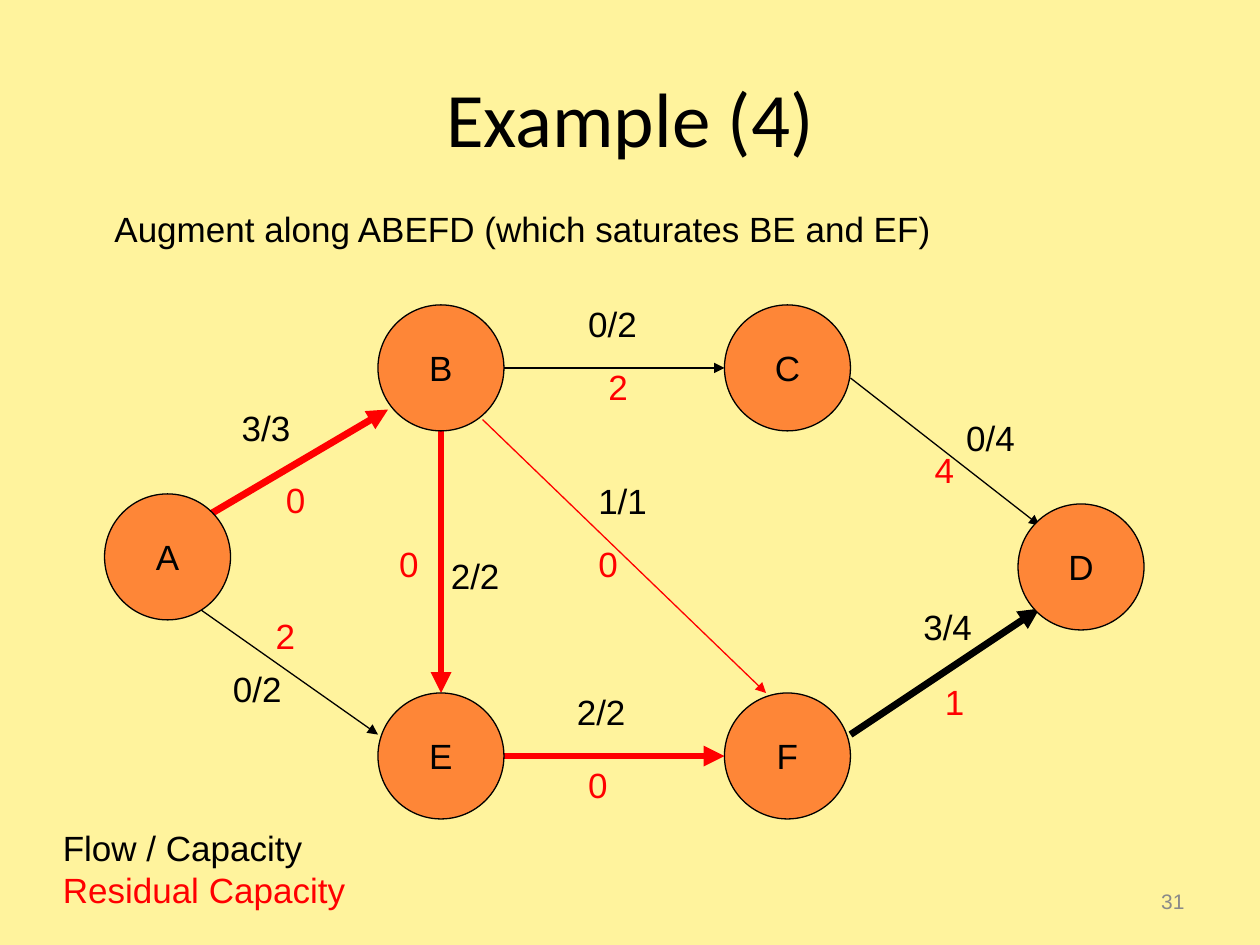
from pptx import Presentation
from pptx.dml.color import RGBColor
from pptx.enum.shapes import MSO_CONNECTOR, MSO_SHAPE
from pptx.enum.text import MSO_ANCHOR, MSO_AUTO_SIZE, PP_ALIGN
from pptx.oxml.ns import qn
from pptx.util import Inches, Pt
from lxml.etree import SubElement

BACKGROUND = RGBColor(0xFF, 0xF3, 0x9D)
ORANGE = RGBColor(0xFE, 0x86, 0x37)
BLACK = RGBColor(0, 0, 0)
RED = RGBColor(0xFF, 0, 0)
GRAY = RGBColor(0x89, 0x89, 0x89)

THIN, THICK = 0.75, 4
NODE_SIZE = 1
LABEL_HEIGHT = 0.44
FLOW_WIDTH, RESIDUAL_WIDTH = 0.6, 0.36

# Left and top of each node
NODES = {
    "A": (0.83, 3.92),
    "B": (3, 2.42),
    "C": (5.75, 2.42),
    "D": (8.08, 4),
    "F": (5.75, 5.5),
    "E": (3, 5.5),
}

# Start, end, colour, weight, flow/capacity and its place, residual and its place
EDGES = [
    ((1.67, 4.08), (3.08, 3.25), RED, THICK, "3/3", (1.82, 3.18), "0", (2.17, 3.75)),
    ((4, 2.92), (5.75, 2.92), BLACK, THIN, "0/2", (4.57, 2.35), "2", (4.73, 2.85)),
    ((6.75, 3), (8.25, 4.17), BLACK, THIN, "0/4", (7.57, 3.26), "4", (7.32, 3.51)),
    ((1.58, 4.83), (3, 5.83), BLACK, THIN, "0/2", (1.75, 5.25), "2", (2.09, 4.83)),
    ((4, 6), (5.75, 6), RED, THICK, "2/2", (4.48, 5.43), "0", (4.57, 6.01)),
    ((6.75, 5.83), (8.25, 4.83), BLACK, THICK, "3/4", (7.23, 4.76), "1", (7.4, 5.35)),
    ((3.83, 3.33), (6.08, 5.5), RED, THIN, "1/1", (4.65, 3.76), "0", (4.65, 4.26)),
    ((3.5, 3.42), (3.5, 5.5), RED, THICK, "2/2", (3.48, 4.35), "0", (3.07, 4.26)),
]


def format_paragraph(paragraph, color, size=20, font="Arial", align=PP_ALIGN.LEFT):
    paragraph.alignment = align
    for run in paragraph.runs:
        run.font.name = font
        run.font.size = Pt(size)
        run.font.color.rgb = color


def add_label(slide, box, lines):
    """Add an unwrapped text box; lines holds (text, colour) pairs."""
    frame = slide.shapes.add_textbox(*map(Inches, box)).text_frame
    frame.text = "\n".join(text for text, _ in lines)
    frame.word_wrap = False
    frame.auto_size = MSO_AUTO_SIZE.SHAPE_TO_FIT_TEXT
    for paragraph, (_, color) in zip(frame.paragraphs, lines):
        format_paragraph(paragraph, color)


def add_framed_text(slide, box, text, color, size, font, align):
    """Add a wrapped, vertically centred text box of fixed size."""
    frame = slide.shapes.add_textbox(*map(Inches, box)).text_frame
    frame.text = text
    frame.word_wrap = True
    frame.vertical_anchor = MSO_ANCHOR.MIDDLE
    format_paragraph(frame.paragraphs[0], color, size, font, align)


def add_arrow(slide, start, end, color, weight):
    arrow = slide.shapes.add_connector(
        MSO_CONNECTOR.STRAIGHT, *map(Inches, start + end))
    arrow.line.color.rgb = color
    arrow.line.width = Pt(weight)
    SubElement(arrow.line._get_or_add_ln(), qn("a:tailEnd"), type="triangle")
    SubElement(arrow._element.spPr, qn("a:effectLst"))


def add_node(slide, letter, place):
    node = slide.shapes.add_shape(
        MSO_SHAPE.OVAL, *map(Inches, place + (NODE_SIZE, NODE_SIZE)))
    node.shadow.inherit = False
    node.fill.solid()
    node.fill.fore_color.rgb = ORANGE
    node.line.color.rgb = BLACK
    node.line.width = Pt(THIN)
    frame = node.text_frame
    frame.text = letter
    frame.word_wrap = False
    frame.vertical_anchor = MSO_ANCHOR.MIDDLE
    format_paragraph(frame.paragraphs[0], BLACK, align=PP_ALIGN.CENTER)


def main():
    presentation = Presentation()
    presentation.slide_width = Inches(10)
    presentation.slide_height = Inches(7.5)
    slide = presentation.slides.add_slide(presentation.slide_layouts[6])
    slide.background.fill.solid()
    slide.background.fill.fore_color.rgb = BACKGROUND

    add_framed_text(slide, (0.5, 0.3, 9, 1.25), "Example (4)",
                    BLACK, 44, "Calibri", PP_ALIGN.CENTER)
    add_framed_text(slide, (7.17, 6.95, 2.33, 0.4), "31",
                    GRAY, 12, "Arial", PP_ALIGN.RIGHT)

    for start, end, color, weight, *_ in EDGES:
        add_arrow(slide, start, end, color, weight)
    for *_, flow, flow_place, residual, residual_place in EDGES:
        add_label(slide, flow_place + (FLOW_WIDTH, LABEL_HEIGHT), [(flow, BLACK)])
        add_label(slide, residual_place + (RESIDUAL_WIDTH, LABEL_HEIGHT),
                  [(residual, RED)])
    for letter, place in NODES.items():
        add_node(slide, letter, place)

    add_label(slide, (0.4, 6.51, 2.44, 0.77),
              [("Flow / Capacity", BLACK), ("Residual Capacity", RED)])
    add_label(slide, (0.81, 1.6, 6.7, LABEL_HEIGHT),
              [("Augment along ABEFD (which saturates BE and EF)", BLACK)])
    presentation.save("out.pptx")


if __name__ == "__main__":
    main()
